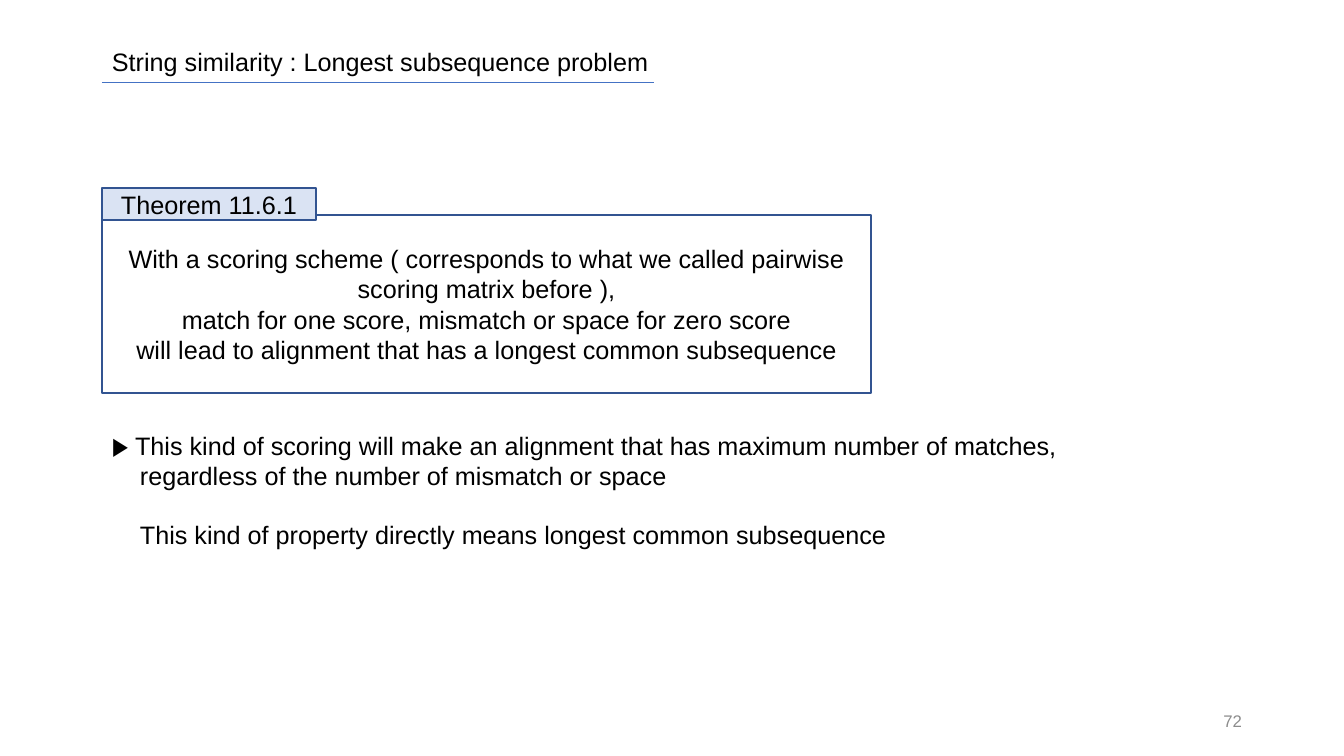
from lxml import etree
from pptx import Presentation
from pptx.dml.color import RGBColor
from pptx.enum.shapes import MSO_CONNECTOR, MSO_SHAPE
from pptx.enum.text import MSO_ANCHOR as ANCHOR, PP_ALIGN as ALIGN
from pptx.oxml.ns import qn
from pptx.util import Emu, Pt

COLORS = {
    "text": "000000",
    "number": "8C8C8C",
    "rule": "4472C4",
    "border": "325491",
    "box": "FFFFFF",
    "label": "DAE3F3",
}
LEFT = 102
HANGING = 28


def px(n):
    return Emu(round(n * 914400 / 100.8))


def rgb(name):
    return RGBColor.from_string(COLORS[name])


def write(tf, lines, size=18, color="text", align=ALIGN.LEFT, anchor=ANCHOR.TOP):
    """Fill a text frame with one paragraph per line."""
    tf.word_wrap = True
    tf.vertical_anchor = anchor
    for i, line in enumerate(lines):
        p = tf.paragraphs[0] if i == 0 else tf.add_paragraph()
        p.alignment = align
        r = p.add_run()
        r.text = line
        r.font.name = "Arial"
        r.font.size = Pt(size)
        r.font.color.rgb = rgb(color)
    return tf.paragraphs


def add_text(slide, x, y, w, h, lines, **fmt):
    sp = slide.shapes.add_textbox(px(x), px(y), px(w), px(h))
    return write(sp.text_frame, lines, **fmt)


def add_box(slide, x, y, w, h, lines, fill, opacity=100):
    sp = slide.shapes.add_shape(MSO_SHAPE.RECTANGLE, px(x), px(y), px(w), px(h))
    sp.shadow.inherit = False
    sp.fill.solid()
    sp.fill.fore_color.rgb = rgb(fill)
    if opacity < 100:
        color = sp.fill._xPr.find(qn("a:solidFill"))[0]
        etree.SubElement(color, qn("a:alpha")).set("val", str(opacity * 1000))
    sp.line.color.rgb = rgb("border")
    sp.line.width = Pt(1)
    write(sp.text_frame, lines, align=ALIGN.CENTER, anchor=ANCHOR.MIDDLE)


def add_rule(slide, x1, x2, y):
    line = slide.shapes.add_connector(
        MSO_CONNECTOR.STRAIGHT, px(x1), px(y), px(x2), px(y))
    line.line.color.rgb = rgb("rule")
    line.line.width = Pt(0.5)
    etree.SubElement(line._element.spPr, qn("a:effectLst"))


def indent(p, left, first=0):
    pPr = p._p.get_or_add_pPr()
    pPr.set("marL", str(px(left)))
    pPr.set("indent", str(px(first)))


def main():
    prs = Presentation()
    prs.slide_width, prs.slide_height = px(1344), px(756)
    slide = prs.slides.add_slide(prs.slide_layouts[6])

    add_text(slide, 950, 701, 302, 40, ["72"], size=12, color="number",
             align=ALIGN.RIGHT, anchor=ANCHOR.MIDDLE)
    add_text(slide, LEFT, 41, 740, 40,
             ["String similarity : Longest subsequence problem"])
    add_rule(slide, LEFT, 654, 82)

    add_box(slide, LEFT, 215, 769, 178, [
        "With a scoring scheme ( corresponds to what we called pairwise "
        "scoring matrix before ),",
        "match for one score, mismatch or space for zero score",
        "will lead to alignment that has a longest common subsequence",
    ], "box", opacity=20)
    add_box(slide, LEFT, 188, 214, 32, ["Theorem 11.6.1"], "label")

    point, rest, conclusion = add_text(slide, LEFT, 425, 1131, 132, [
        "▶ This kind of scoring will make an alignment that has maximum "
        "number of matches,",
        "regardless of the number of mismatch or space",
        "This kind of property directly means longest common subsequence",
    ])
    indent(point, HANGING, -HANGING)
    indent(rest, HANGING)
    indent(conclusion, HANGING)
    conclusion.space_before = Pt(21)

    prs.save("out.pptx")


if __name__ == "__main__":
    main()
